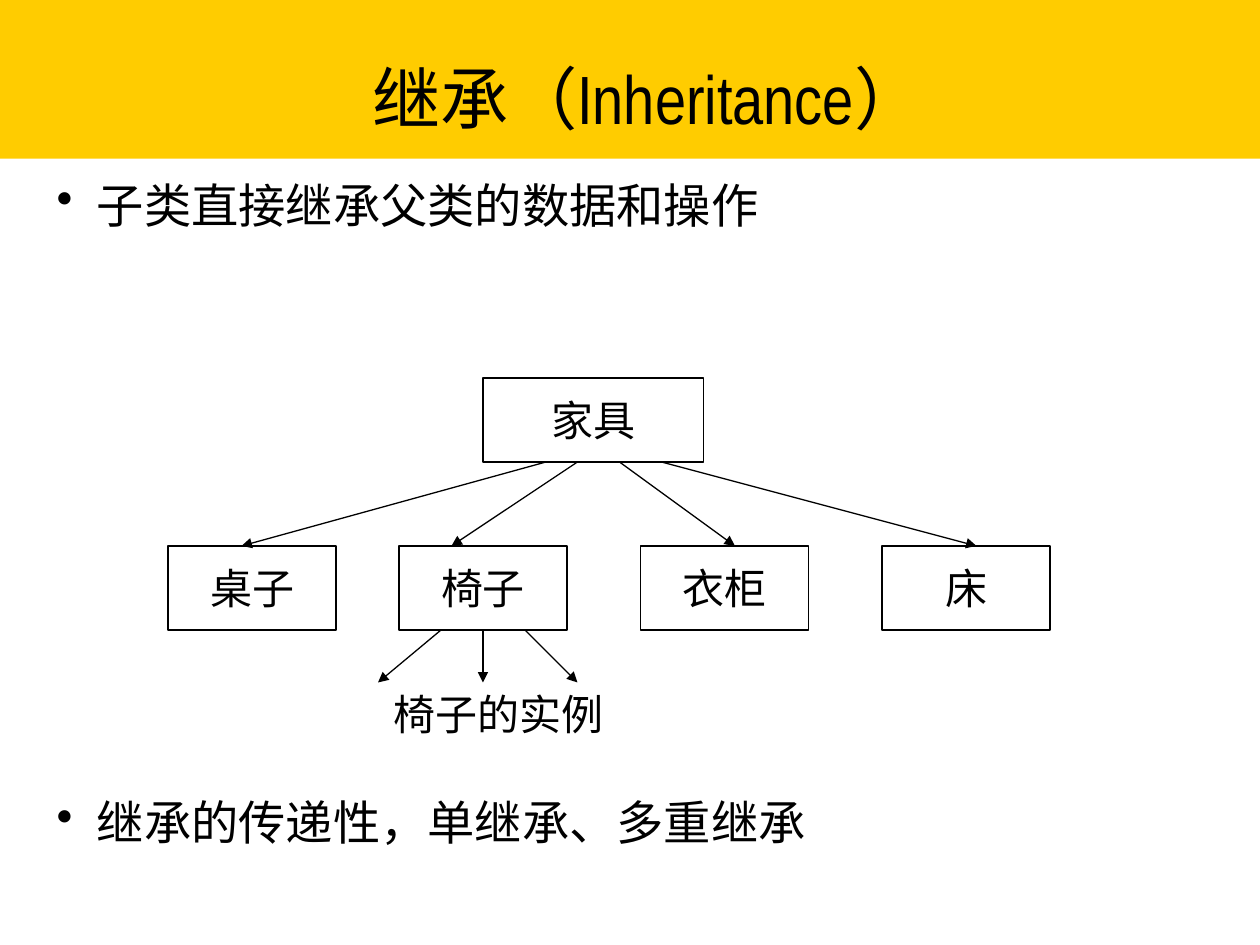
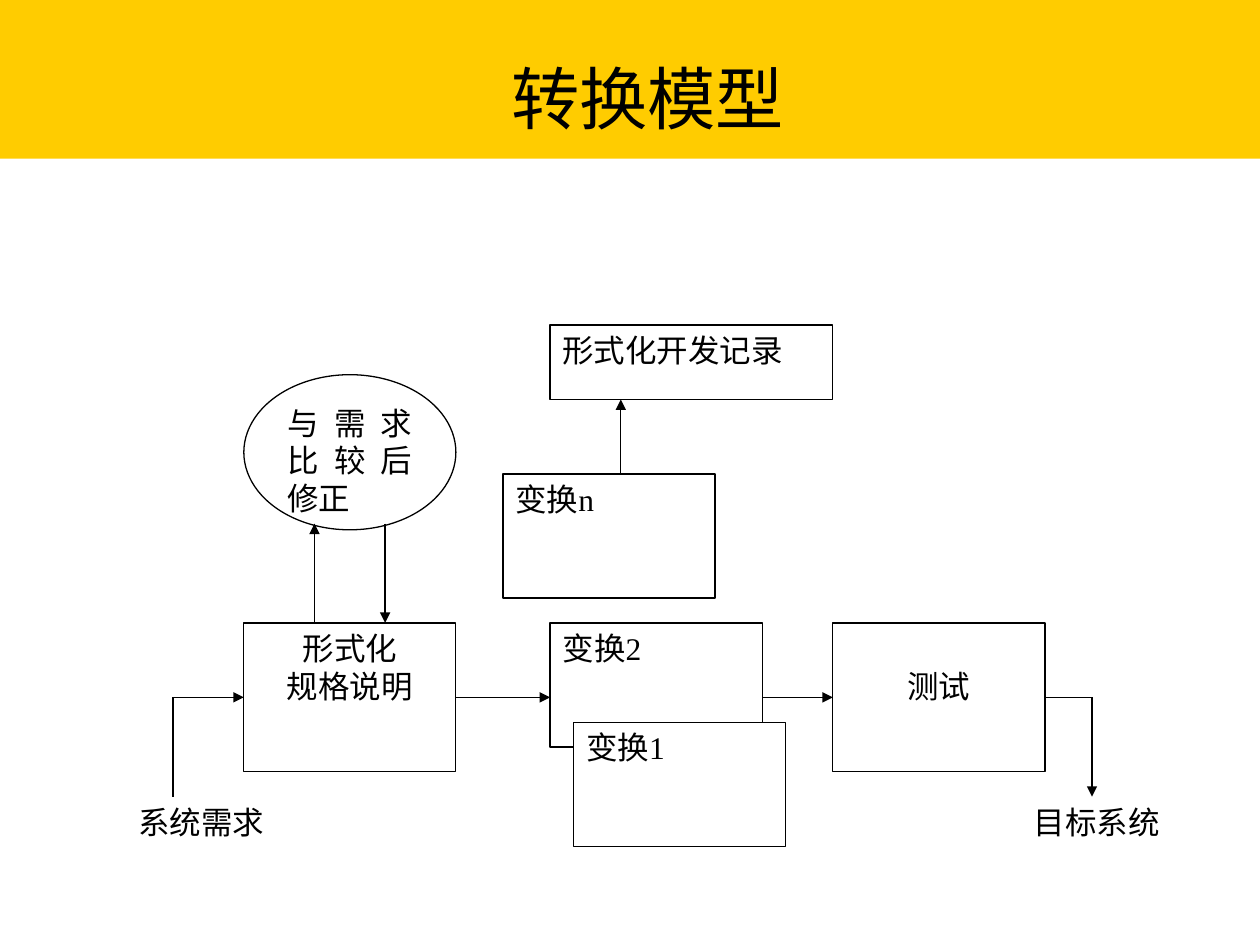
"""Builds two yellow-banded slides: an inheritance tree and a transformation model."""
from dataclasses import dataclass
from typing import Any, Optional

import lxml.etree
import pptx
import pptx.dml.color
import pptx.enum.shapes
import pptx.enum.text
import pptx.oxml
import pptx.oxml.ns
import pptx.util

COLORS = {"band": "FFCC00", "paper": "FFFFFF", "ink": "000000"}
HEADING_FONT = "Arial Narrow"
SHAPES = pptx.enum.shapes.MSO_SHAPE
ALIGN = pptx.enum.text.PP_ALIGN
ANCHOR = pptx.enum.text.MSO_ANCHOR
STRAIGHT = pptx.enum.shapes.MSO_CONNECTOR.STRAIGHT
WIDTH, HEIGHT = pptx.util.Inches(10), pptx.util.Inches(7.5)


@dataclass(frozen=True)
class Grid:
    """Origin and cell size in inches."""
    left: float
    top: float
    column: float
    row: float

    def point(self, column: float, row: float) -> tuple[int, int]:
        return (pptx.util.Inches(self.left + column * self.column),
                pptx.util.Inches(self.top + row * self.row))

    def size(self, columns: float, rows: float) -> tuple[int, int]:
        return pptx.util.Inches(columns * self.column), pptx.util.Inches(rows * self.row)


@dataclass(frozen=True)
class Box:
    """A labelled shape, measured in grid columns and rows."""
    text: str
    column: float
    row: float
    columns: float
    rows: float
    align: Any = ALIGN.JUSTIFY
    shape: Any = SHAPES.RECTANGLE
    outlined: bool = True
    top_inset: float = 0.05

    def side_middles(self) -> list[tuple[float, float]]:
        middle_column = self.column + self.columns / 2
        middle_row = self.row + self.rows / 2
        return [(middle_column, self.row), (self.column, middle_row),
                (middle_column, self.row + self.rows),
                (self.column + self.columns, middle_row)]


@dataclass(frozen=True)
class Line:
    """A straight line between two grid points, with an arrowhead unless plain."""
    start: tuple[float, float]
    end: tuple[float, float]
    arrow: bool = True


TREE_GRID = Grid(0, 0, 1 / 12, 1 / 12)
TREE_BOXES = [
    Box("家具", 46, 36, 21, 8),
    *(Box(name, column, 52, 16, 8)
      for name, column in [("桌子", 16), ("椅子", 38), ("衣柜", 61), ("床", 84)]),
    Box("椅子的实例", 28, 64, 39, 8, outlined=False),
]
TREE_LINES = [
    *(Line((start, 44), (end, 52))
      for start, end in [(52, 23), (55, 43), (59, 70), (63, 93)]),
    *(Line((start, 60), (end, 65)) for start, end in [(42, 36), (46, 46), (50, 55)]),
]

MODEL_GRID = Grid(1, 2.58, 0.187, 0.197)
MODEL_BOXES = [
    Box("形式化\n规格说明", 5, 12, 9, 6, ALIGN.CENTER),
    Box("与需求比较后修正", 5, 2, 9, 6.25, shape=SHAPES.OVAL),
    Box("变换2", 18, 12, 9, 5),
    Box("变换1", 19, 16, 9, 5),
    Box("变换n", 16, 6, 9, 5),
    Box("测试", 30, 12, 9, 6, ALIGN.CENTER, top_inset=0.35),
    Box("形式化开发记录", 18, 0, 12, 3),
    Box("系统需求", 0, 19, 7, 3, outlined=False),
    Box("目标系统", 38, 19, 7, 3, outlined=False),
]
MODEL_LINES = [
    Line((2, 19), (2, 15), arrow=False),
    Line((2, 15), (5, 15)),
    Line((14, 15), (18, 15)),
    Line((8, 12), (8, 8)),
    Line((11, 8), (11, 12)),
    Line((21, 6), (21, 3)),
    Line((27, 15), (30, 15)),
    Line((39, 15), (41, 15), arrow=False),
    Line((41, 15), (41, 19)),
]


def color(name: str) -> pptx.dml.color.RGBColor:
    return pptx.dml.color.RGBColor.from_string(COLORS[name])


def write_text(shape: Any, text: str, *, size: float, font: str, align: Any = ALIGN.LEFT,
               anchor: Any = ANCHOR.TOP, wrap: bool = True, side_inset: float = 0.1,
               top_inset: float = 0.05, bottom_inset: float = 0.05,
               bullet: bool = False, gap: float = 0) -> None:
    """Fill a shape with one paragraph per line of text."""
    frame = shape.text_frame
    frame.word_wrap = wrap
    frame.vertical_anchor = anchor
    frame.margin_left = frame.margin_right = pptx.util.Inches(side_inset)
    frame.margin_top = pptx.util.Inches(top_inset)
    frame.margin_bottom = pptx.util.Inches(bottom_inset)
    for index, line in enumerate(text.split("\n")):
        para = frame.add_paragraph() if index else frame.paragraphs[0]
        para.alignment = align
        if index and gap:
            para.space_before = pptx.util.Pt(gap)
        if bullet:
            add_bullet(para)
        span = para.add_run()
        span.text = line
        span.font.size = pptx.util.Pt(size)
        span.font.name = font
        span.font.color.rgb = color("ink")


def add_bullet(para: Any) -> None:
    """Give a paragraph a round bullet and a hanging indent."""
    properties = para._p.get_or_add_pPr()
    indent = pptx.util.Inches(0.32)
    properties.set("marL", str(indent))
    properties.set("indent", str(-indent))
    mark = lxml.etree.SubElement(properties, pptx.oxml.ns.qn("a:buChar"))
    mark.set("char", "•")


def draw_box(slide: Any, grid: Grid, box: Box, filled: bool, **text_format: Any) -> Any:
    shape = slide.shapes.add_shape(box.shape, *grid.point(box.column, box.row),
                                   *grid.size(box.columns, box.rows))
    shape.shadow.inherit = False
    if filled:
        shape.fill.solid()
        shape.fill.fore_color.rgb = color("paper")
    else:
        shape.fill.background()
    if box.outlined:
        shape.line.color.rgb = color("ink")
        shape.line.width = pptx.util.Pt(0.75)
    else:
        shape.line.fill.background()
    write_text(shape, box.text, **{"align": box.align, "top_inset": box.top_inset, **text_format})
    return shape


def find_joint(point: tuple[float, float], boxes: list[Box]) -> Optional[tuple[int, int]]:
    """Find the box and side whose middle lies at a grid point."""
    for index, box in enumerate(boxes):
        if box.shape == SHAPES.RECTANGLE and point in box.side_middles():
            return index, box.side_middles().index(point)
    return None


def draw_line(slide: Any, grid: Grid, line: Line, boxes: list[Box], shapes: list[Any]) -> None:
    connector = slide.shapes.add_connector(STRAIGHT, *grid.point(*line.start),
                                           *grid.point(*line.end))
    connector.line.color.rgb = color("ink")
    connector.line.width = pptx.util.Pt(0.75)
    if line.arrow:
        head = lxml.etree.SubElement(connector.line._get_or_add_ln(),
                                     pptx.oxml.ns.qn("a:tailEnd"))
        head.set("type", "triangle")
    lxml.etree.SubElement(connector._element.spPr, pptx.oxml.ns.qn("a:effectLst"))
    for point, join in [(line.start, connector.begin_connect), (line.end, connector.end_connect)]:
        joint = find_joint(point, boxes)
        if joint:
            join(shapes[joint[0]], joint[1])


def draw_diagram(slide: Any, grid: Grid, boxes: list[Box], lines: list[Line],
                 filled: bool = True, **text_format: Any) -> None:
    shapes = [draw_box(slide, grid, box, filled, **text_format) for box in boxes]
    for line in lines:
        draw_line(slide, grid, line, boxes, shapes)


def add_text_area(slide: Any, text: str, left: float, top: float, width: float, height: float,
                  **text_format: Any) -> None:
    """Add heading-font text placed by shares of the slide's size."""
    area = slide.shapes.add_textbox(int(WIDTH * left), int(HEIGHT * top),
                                    int(WIDTH * width), int(HEIGHT * height))
    write_text(area, text, font=HEADING_FONT, side_inset=0.09, top_inset=0.04,
               bottom_inset=0.04, **text_format)


def add_titled_slide(deck: Any, title: str) -> Any:
    slide = deck.slides.add_slide(deck.slide_layouts[6])
    band = slide.shapes.add_shape(SHAPES.RECTANGLE, 0, 0, WIDTH, int(HEIGHT * 0.168))
    band.shadow.inherit = False
    band.fill.solid()
    band.fill.fore_color.rgb = color("band")
    band.line.fill.background()
    add_text_area(slide, title, 0.121, 0.039, 0.786, 0.128, size=39,
                  align=ALIGN.CENTER, anchor=ANCHOR.MIDDLE)
    return slide


def build_inheritance(deck: Any) -> None:
    slide = add_titled_slide(deck, "继承（Inheritance）")
    add_text_area(slide, "子类直接继承父类的数据和操作\n继承的传递性，单继承、多重继承",
                  0.036, 0.181, 0.964, 0.819, size=27, bullet=True, gap=320.5)
    draw_diagram(slide, TREE_GRID, TREE_BOXES, TREE_LINES, filled=False, size=24,
                 font="Karla", align=ALIGN.CENTER, anchor=ANCHOR.MIDDLE, wrap=False)


def build_transformation(deck: Any) -> None:
    slide = add_titled_slide(deck, "转换模型")
    draw_diagram(slide, MODEL_GRID, MODEL_BOXES, MODEL_LINES, size=18, font="Times New Roman")


def main() -> None:
    deck = pptx.Presentation()
    deck.slide_width, deck.slide_height = WIDTH, HEIGHT
    build_inheritance(deck)
    build_transformation(deck)
    deck.save("out.pptx")


if __name__ == "__main__":
    main()
